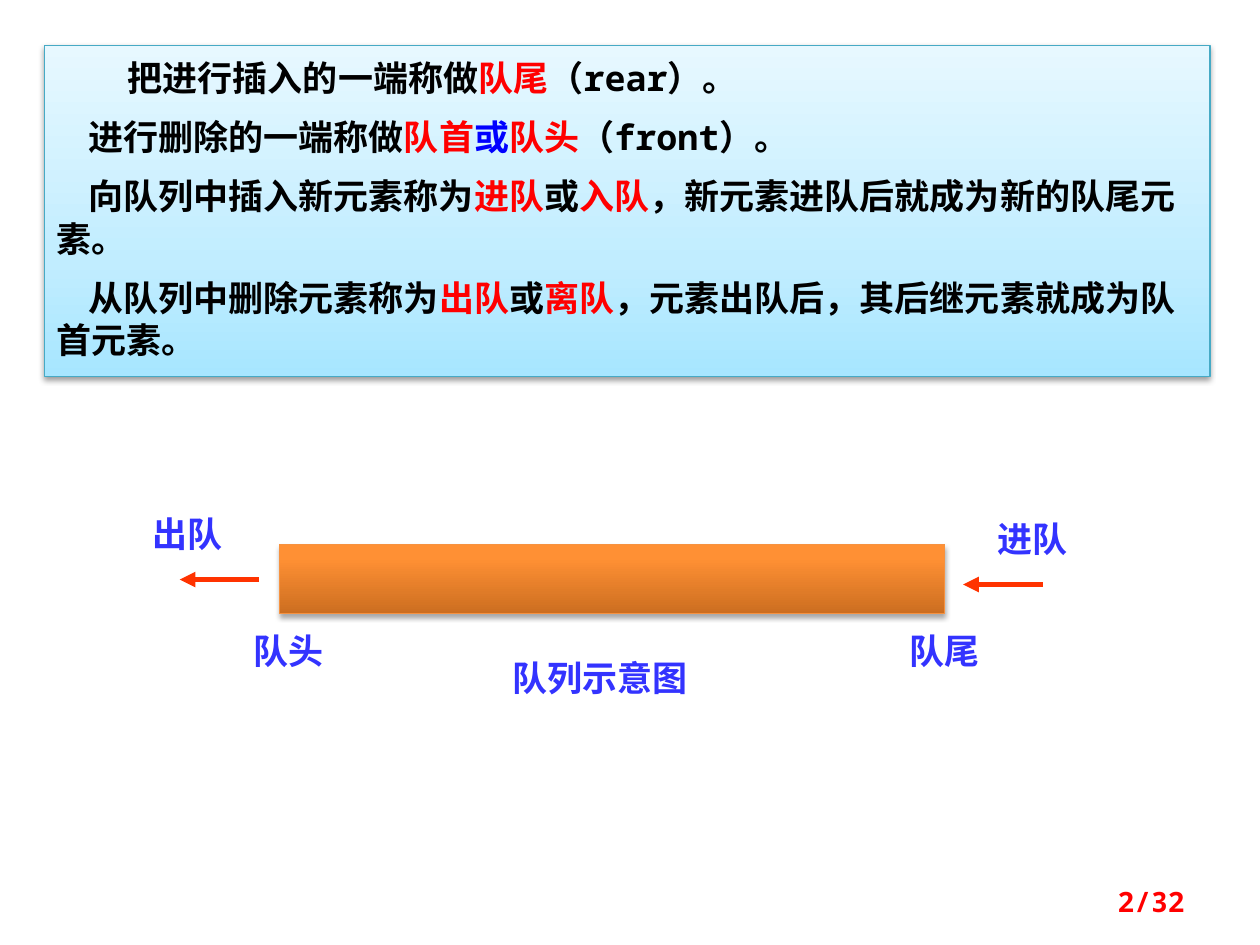
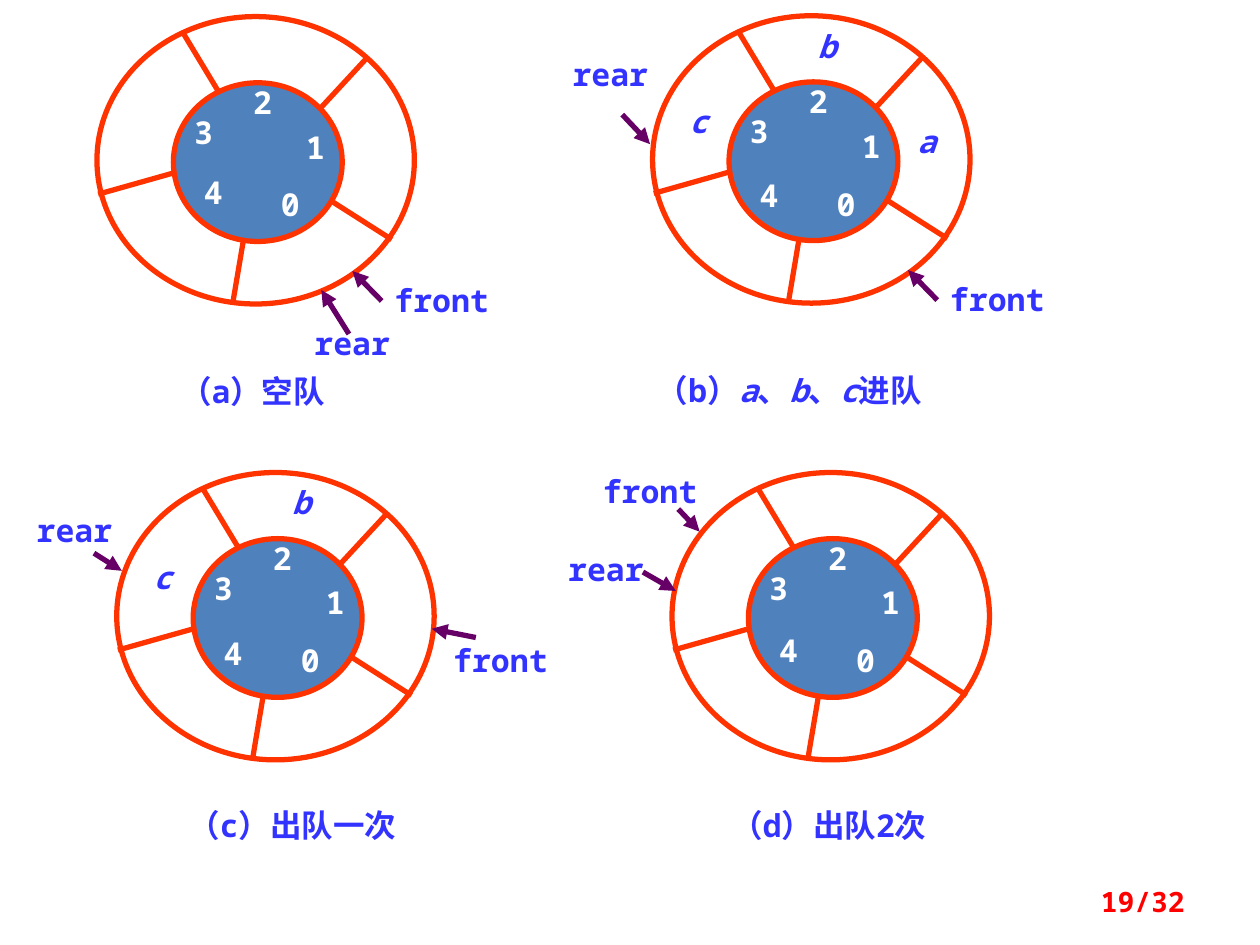
from dataclasses import dataclass

from lxml import etree
from pptx import Presentation
from pptx.dml.color import RGBColor
from pptx.enum.shapes import MSO_CONNECTOR, MSO_SHAPE
from pptx.enum.text import MSO_ANCHOR, MSO_AUTO_SIZE, PP_ALIGN
from pptx.oxml.ns import qn
from pptx.util import Pt

RECT, OVAL = MSO_SHAPE.RECTANGLE, MSO_SHAPE.OVAL
STRAIGHT = MSO_CONNECTOR.STRAIGHT
CENTER, LEFT, RIGHT = PP_ALIGN.CENTER, PP_ALIGN.LEFT, PP_ALIGN.RIGHT
MIDDLE, TOP = MSO_ANCHOR.MIDDLE, MSO_ANCHOR.TOP
GROW = MSO_AUTO_SIZE.SHAPE_TO_FIT_TEXT


@dataclass(frozen=True)
class Theme:
    black: str = "000000"
    white: str = "FFFFFF"
    red: str = "FF0000"
    blue: str = "0000FF"
    label: str = "3333FF"
    ring: str = "FF3300"
    hub: str = "4F81BD"
    pointer: str = "660066"
    panel_line: str = "46AAC5"
    panel_stops: tuple = ((0, "A7E6FF"), (35, "C1EDFF"), (100, "E7F8FF"))
    bar_line: str = "F69240"
    bar_stops: tuple = ((0, "CC6E20"), (80, "FF9034"), (100, "FF9136"))
    mono: str = "Noto Sans Mono"
    cjk: str = "Noto Sans CJK SC"
    serif: str = "Times New Roman"
    body: float = 20
    small: float = 18
    footer: float = 16
    stroke: float = 3
    hairline: float = 0.75


T = Theme()

DEFINITIONS = [  # first-line indent, runs
    (40.5, [("把进行插入的一端称做", T.black), ("队尾", T.red), ("（rear）。", T.black)]),
    (18, [("进行删除的一端称做", T.black), ("队首", T.red), ("或", T.blue),
          ("队头", T.red), ("（front）。", T.black)]),
    (18, [("向队列中插入新元素称为", T.black), ("进队", T.red), ("或", T.black),
          ("入队", T.red), ("，新元素进队后就成为新的队尾元素。", T.black)]),
    (18, [("从队列中删除元素称为", T.black), ("出队", T.red), ("或", T.black),
          ("离队", T.red), ("，元素出队后，其后继元素就成为队首元素。", T.black)]),
]

# Everything below is relative to the top left corner of a ring
RING_SIZE = (181.4, 164.2)
HUB_BOX = (43.7, 37.8, 96.5, 90.7)
SPOKES = [
    (134.6, 105.8, 168.5, 127.4), (128.2, 51.8, 154.1, 23.8),
    (49.7, 10.1, 69.8, 43.4), (83.5, 128.9, 77.8, 162.7), (0.7, 101.5, 43.9, 89.3),
]
SLOTS = [(99.4, 96.5), (113.8, 63.4), (83.5, 38), (49.7, 55.2)]
SLOT_4_LEFT = 55.4
SLOT_SIZE, POINTER_SIZE = (22.3, 21.6), (56.9, 21.6)
CAPTION_SIZE = (250, 28.8)


@dataclass(frozen=True)
class Ring:
    """Pointers are (name, label left, label top, arrow ends)."""
    origin: tuple
    slot_4_top: float
    caption: tuple  # runs, centre, top
    pointers: tuple
    items: tuple = ()


FRONT_AT_0 = ("front", 168.5, 151.2, (162.7, 162.5, 146, 145.4))
RINGS = [
    Ring((55.4, 9.5), 89.3, (["（a）空队"], 88.9, 199.4),
         (FRONT_AT_0, ("rear", 117.4, 175.7, (144, 181.4, 128.2, 156.2)))),
    Ring((372.9, 9), 91.6, (["（b）", "a", "、", "b", "、", "c", "进队"], 78.1, 199.6),
         (FRONT_AT_0, ("rear", -52.6, 22.5, (-17.3, 56.5, -1.4, 73.4))),
         (("a", 145.4, 60.7), ("b", 88.6, 6.6), ("c", 15.1, 49.2))),
    Ring((66.7, 270), 92.2, (["（c）出队一次"], 100.4, 187.2),
         (("front", 190.8, 96.5, (205.2, 94.3, 180, 89.3)),
          ("rear", -52.6, 22.3, (-13, 46.1, 2.9, 56.2))),
         (("b", 94.3, 5.8), ("c", 15.1, 49))),
    Ring((384, 270), 90.7, (["（d）出队2次"], 89.6, 187.2),
         (("front", -41, 0, (3.6, 20.9, 15.8, 33.8)),
          ("rear", -66.2, 44.6, (-16.6, 56.9, 2.2, 67.7)))),
]


def rgb(color):
    return RGBColor.from_string(color)


def add_run(p, text, size, color, font=T.mono, italic=False):
    r = p.add_run()
    r.text = text
    r.font.size, r.font.name = Pt(size), font
    r.font.bold, r.font.italic = True, italic
    r.font.color.rgb = rgb(color)
    etree.SubElement(r.font._element, qn("a:ea"), typeface=T.cjk)


def add_text(shapes, box, runs, size, color, font=T.mono, align=CENTER,
             anchor=TOP, inset=True):
    """Single-letter variable names among several runs are set in italics."""
    tb = shapes.add_textbox(*map(Pt, box))
    tf = tb.text_frame
    tf.word_wrap = True
    tf.auto_size = GROW
    tf.vertical_anchor = anchor
    if not inset:
        tf.margin_left = tf.margin_top = tf.margin_right = tf.margin_bottom = 0
    p = tf.paragraphs[0]
    p.alignment = align
    for text in runs:
        add_run(p, text, size, color, font, italic=text in ("a", "b", "c"))


def add_figure(shapes, kind, box, line, width, fill=None):
    sp = shapes.add_shape(kind, *map(Pt, box))
    sp.shadow.inherit = False
    sp.line.color.rgb = rgb(line)
    sp.line.width = Pt(width)
    if fill:
        sp.fill.solid()
        sp.fill.fore_color.rgb = rgb(fill)
    else:
        sp.fill.background()
    return sp


def add_glossy_box(shapes, box, line, stops, opacity, distance):
    """Rectangle with an upward gradient and a soft shadow below."""
    sp = add_figure(shapes, RECT, box, line, T.hairline)
    sp.fill.gradient()
    sp.fill.gradient_angle = 90
    stop_list = sp._element.spPr.find(".//" + qn("a:gsLst"))
    for old in list(stop_list):
        stop_list.remove(old)
    for position, color in stops:
        stop = etree.SubElement(stop_list, qn("a:gs"), pos=str(position * 1000))
        etree.SubElement(stop, qn("a:srgbClr"), val=color)
    effects = sp._element.spPr.find(qn("a:effectLst"))
    shadow = etree.SubElement(effects, qn("a:outerShdw"), blurRad=str(Pt(3.1)),
                              dist=str(Pt(distance)), dir="5400000", rotWithShape="0")
    color = etree.SubElement(shadow, qn("a:srgbClr"), val=T.black)
    etree.SubElement(color, qn("a:alpha"), val=str(opacity * 1000))
    return sp


def add_line(shapes, ends, color, arrow=False):
    c = shapes.add_connector(STRAIGHT, *map(Pt, ends))
    c.line.color.rgb = rgb(color)
    c.line.width = Pt(T.stroke)
    if arrow:
        etree.SubElement(c.line._get_or_add_ln(), qn("a:tailEnd"), type="triangle")
    etree.SubElement(c._element.spPr, qn("a:effectLst"))


def shifted(origin, ends):
    x, y = origin
    x1, y1, x2, y2 = ends
    return x + x1, y + y1, x + x2, y + y2


def add_page_number(s, number):
    add_text(s.shapes, (516.2, 500.4, 167.8, 28.8), [f"{number}/32"], T.footer,
             T.red, align=RIGHT, anchor=MIDDLE)


def add_definitions(s, box):
    sp = add_glossy_box(s.shapes, box, T.panel_line, T.panel_stops, 38, 1.6)
    tf = sp.text_frame
    tf.word_wrap = True
    tf.vertical_anchor = TOP
    tf.margin_top = Pt(6)
    for i, (indent, runs) in enumerate(DEFINITIONS):
        p = tf.add_paragraph() if i else tf.paragraphs[0]
        p.alignment = LEFT
        p.line_spacing = Pt(24.3)
        p.space_before = Pt(9.4 if i else 0)
        p._p.get_or_add_pPr().set("indent", str(Pt(indent)))
        for text, color in runs:
            add_run(p, text, T.body, color)


def add_queue(s, box):
    """Queue bar with its ends, caption and the arrows out and in."""
    x, y, w, h = box
    add_glossy_box(s.shapes, box, T.bar_line, T.bar_stops, 35, 1.8)
    for text, left, top, width, font in (
            ("队尾", w - 34.3, 45.4, 68.4, T.serif), ("队头", -28.8, 45.4, 68.4, T.serif),
            ("队列示意图", 104.4, 60.5, 157.7, T.serif),
            ("出队", -86.4, -21.6, 67.7, T.cjk), ("进队", w + 16.6, -18.7, 67.7, T.cjk)):
        add_text(s.shapes, (x + left, y + top, width, 31.7), [text], T.body,
                 T.label, font)
    for ends in ((-11.5, 20.2, -56.9, 20.2), (w + 56, 23, w + 10.6, 23)):
        add_line(s.shapes, shifted((x, y), ends), T.ring, arrow=True)


def add_ring(s, ring):
    shapes = s.shapes.add_group_shape().shapes
    x, y = ring.origin

    def label(text, left, top, size, color):
        add_text(shapes, (x + left, y + top, *size), [text], T.small, color,
                 inset=False)

    hub_x, hub_y, hub_w, hub_h = HUB_BOX
    add_figure(shapes, OVAL, (x + hub_x, y + hub_y, hub_w, hub_h), T.ring, T.stroke, T.hub)
    add_figure(shapes, OVAL, (x, y, *RING_SIZE), T.ring, T.stroke)
    for ends in SPOKES:
        add_line(shapes, shifted(ring.origin, ends), T.ring)
    for i, (left, top) in enumerate([*SLOTS, (SLOT_4_LEFT, ring.slot_4_top)]):
        label(str(i), left, top, SLOT_SIZE, T.white)
    for text, left, top in ring.items:
        label(text, left, top, SLOT_SIZE, T.label)
    for name, left, top, ends in ring.pointers:
        add_line(shapes, shifted(ring.origin, ends), T.pointer, arrow=True)
        label(name, left, top, POINTER_SIZE, T.label)
    runs, center, top = ring.caption
    w, h = CAPTION_SIZE
    add_text(shapes, (x + center - w / 2, y + top, w, h), runs, T.small, T.label)


def queue_slide(prs, blank):
    s = prs.slides.add_slide(blank)
    add_definitions(s, (25.4, 26.1, 666, 189.2))
    add_queue(s, (159.6, 311, 380.2, 39.6))
    add_page_number(s, 2)


def ring_slide(prs, blank):
    s = prs.slides.add_slide(blank)
    for ring in RINGS:
        add_ring(s, ring)
    add_page_number(s, 19)


def main():
    prs = Presentation()
    prs.slide_width, prs.slide_height = Pt(720), Pt(540)
    blank = prs.slide_layouts[6]
    queue_slide(prs, blank)
    ring_slide(prs, blank)
    prs.save("out.pptx")


if __name__ == "__main__":
    main()
